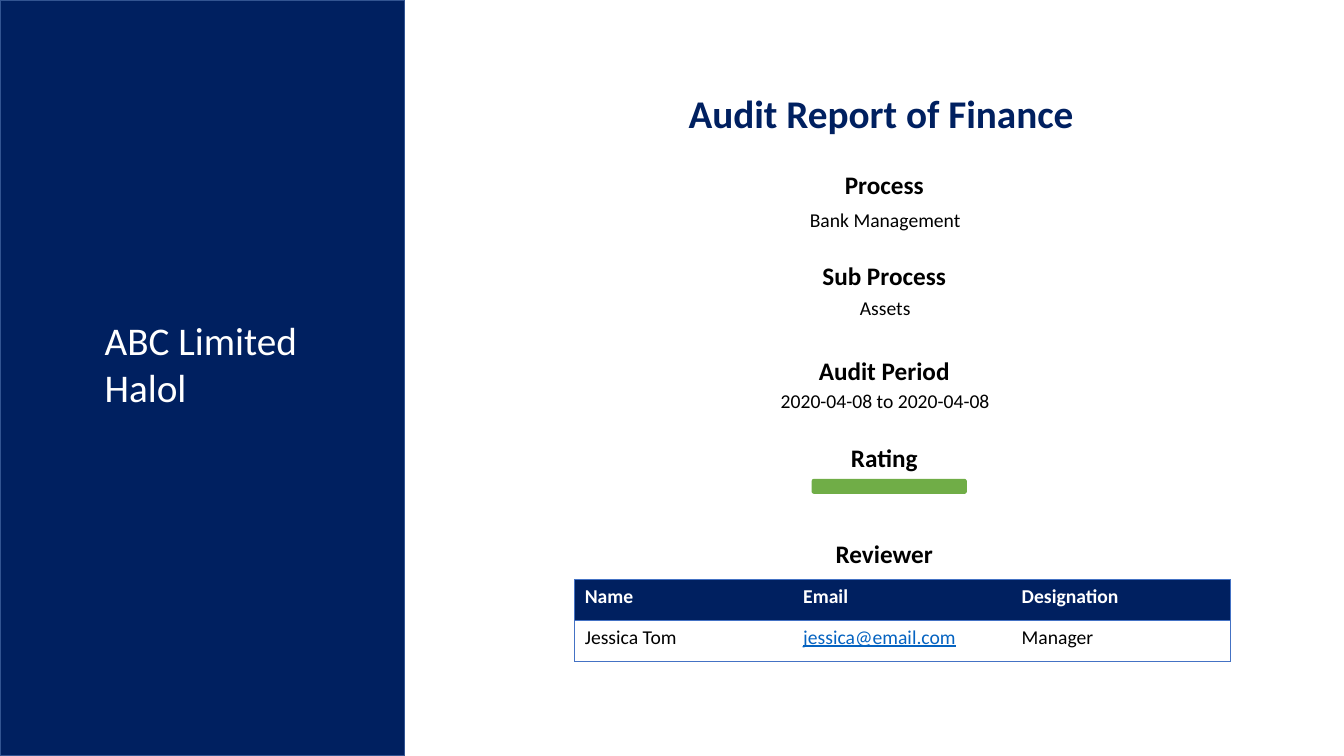
from lxml import etree
from pptx import Presentation
from pptx.dml.color import RGBColor
from pptx.enum.shapes import MSO_SHAPE
from pptx.enum.text import MSO_ANCHOR, PP_ALIGN
from pptx.oxml.ns import qn
from pptx.util import Inches, Pt

RECTANGLE = MSO_SHAPE.RECTANGLE
ROUNDED = MSO_SHAPE.ROUNDED_RECTANGLE
TOP = MSO_ANCHOR.TOP
LEFT, CENTER = PP_ALIGN.LEFT, PP_ALIGN.CENTER

NAVY = RGBColor(0x00, 0x20, 0x60)
PANEL_EDGE = RGBColor(0x32, 0x54, 0x91)
GREEN = RGBColor(0x70, 0xAD, 0x47)
TABLE_EDGE = RGBColor(0x44, 0x72, 0xC4)
EMAIL_BLUE = RGBColor(0x05, 0x63, 0xC1)
WHITE = RGBColor(0xFF, 0xFF, 0xFF)
BLACK = RGBColor(0x00, 0x00, 0x00)

FONT = "Calibri"
COLUMN_CENTER = 8.78

# Heading, top and width, then value, top and width
DETAILS = [
    (("Process", 1.63, 0.99), ("Bank Management", 2.01, 1.71)),
    (("Sub Process", 2.53, 1.44), ("Assets", 2.89, 0.71)),
    (("Audit Period", 3.48, 1.51), ("2020-04-08 to 2020-04-08", 3.81, 2.29)),
    (("Rating", 4.34, 0.87), None),
    (("Reviewer", 5.29, 1.17), None),
]
REVIEWERS = [
    ("Name", "Email", "Designation"),
    ("Jessica Tom", "jessica@email.com", "Manager"),
]


def write_text(frame, text, size=14, color=BLACK, bold=False, underline=False,
               align=LEFT):
    """Fill a text frame, one paragraph for each line of text."""
    frame.text = text
    for paragraph in frame.paragraphs:
        paragraph.alignment = align
        for run in paragraph.runs:
            font = run.font
            font.name, font.size = FONT, Pt(size)
            font.bold, font.underline = bold, underline
            font.color.rgb = color


def add_text(slide, text, left, top, width, height, **text_format):
    box = slide.shapes.add_textbox(
        Inches(left), Inches(top), Inches(width), Inches(height))
    box.text_frame.word_wrap = False
    write_text(box.text_frame, text, **text_format)


def add_block(slide, kind, left, top, width, height, fill, edge=None):
    shape = slide.shapes.add_shape(
        kind, Inches(left), Inches(top), Inches(width), Inches(height))
    shape.shadow.inherit = False
    shape.fill.solid()
    shape.fill.fore_color.rgb = fill
    if edge is None:
        shape.line.fill.background()
    else:
        shape.line.color.rgb = edge
        shape.line.width = Pt(1)


def set_title(slide, text):
    title = slide.shapes.title
    title.left, title.top = Inches(6.73), Inches(0.84)
    title.width, title.height = Inches(4.06), Inches(0.57)
    title.text_frame.word_wrap = False
    title.text_frame.vertical_anchor = TOP
    write_text(title.text_frame, text, size=28, color=NAVY, bold=True)


def add_details(slide):
    for heading, value in DETAILS:
        text, top, width = heading
        add_text(slide, text, COLUMN_CENTER - 0.01 - width / 2, top, width, 0.4,
                 size=18, bold=True, align=CENTER)
        if value:
            text, top, width = value
            add_text(slide, text, COLUMN_CENTER - width / 2, top, width, 0.34,
                     align=CENTER)


def set_borders(cell, visible_sides):
    """Draw the named sides of a cell and hide the others."""
    properties = cell._tc.get_or_add_tcPr()
    for side in "LRTB":
        line = etree.SubElement(properties, qn(f"a:ln{side}"), w=str(Pt(0.5)))
        if side in visible_sides:
            fill = etree.SubElement(line, qn("a:solidFill"))
            etree.SubElement(fill, qn("a:srgbClr"), val=str(TABLE_EDGE))
        else:
            etree.SubElement(line, qn("a:noFill"))


def add_reviewer_table(slide):
    row_count, column_count = len(REVIEWERS), len(REVIEWERS[0])
    table = slide.shapes.add_table(
        row_count, column_count,
        Inches(5.7), Inches(5.75), Inches(6.5), Inches(0.81)).table
    for row, values in enumerate(REVIEWERS):
        header = row == 0
        for column, value in enumerate(values):
            cell = table.cell(row, column)
            email = "@" in value
            color = WHITE if header else EMAIL_BLUE if email else BLACK
            write_text(cell.text_frame, value, color=color, bold=header,
                       underline=email)
            # Outer frame and the rule under the header
            sides = "TB"
            if column == 0:
                sides += "L"
            if column == column_count - 1:
                sides += "R"
            set_borders(cell, sides)
            if header:
                cell.fill.solid()
                cell.fill.fore_color.rgb = NAVY
            else:
                cell.fill.background()


def main():
    presentation = Presentation()
    presentation.slide_width = Inches(13.33)
    presentation.slide_height = Inches(7.5)
    title_only = presentation.slide_layouts.get_by_name("Title Only")
    slide = presentation.slides.add_slide(title_only)

    # Company panel
    add_block(slide, RECTANGLE, 0, 0, 4.01, 7.5, NAVY, edge=PANEL_EDGE)
    add_text(slide, "ABC Limited\nHalol", 0.94, 3.09, 2.13, 1.04,
             size=28, color=WHITE)

    # Report details and rating bar
    set_title(slide, "Audit Report of Finance")
    add_details(slide)
    add_block(slide, ROUNDED, 8.05, 4.75, 1.54, 0.15, GREEN)

    # Reviewers
    add_reviewer_table(slide)
    presentation.save("out.pptx")


if __name__ == "__main__":
    main()
